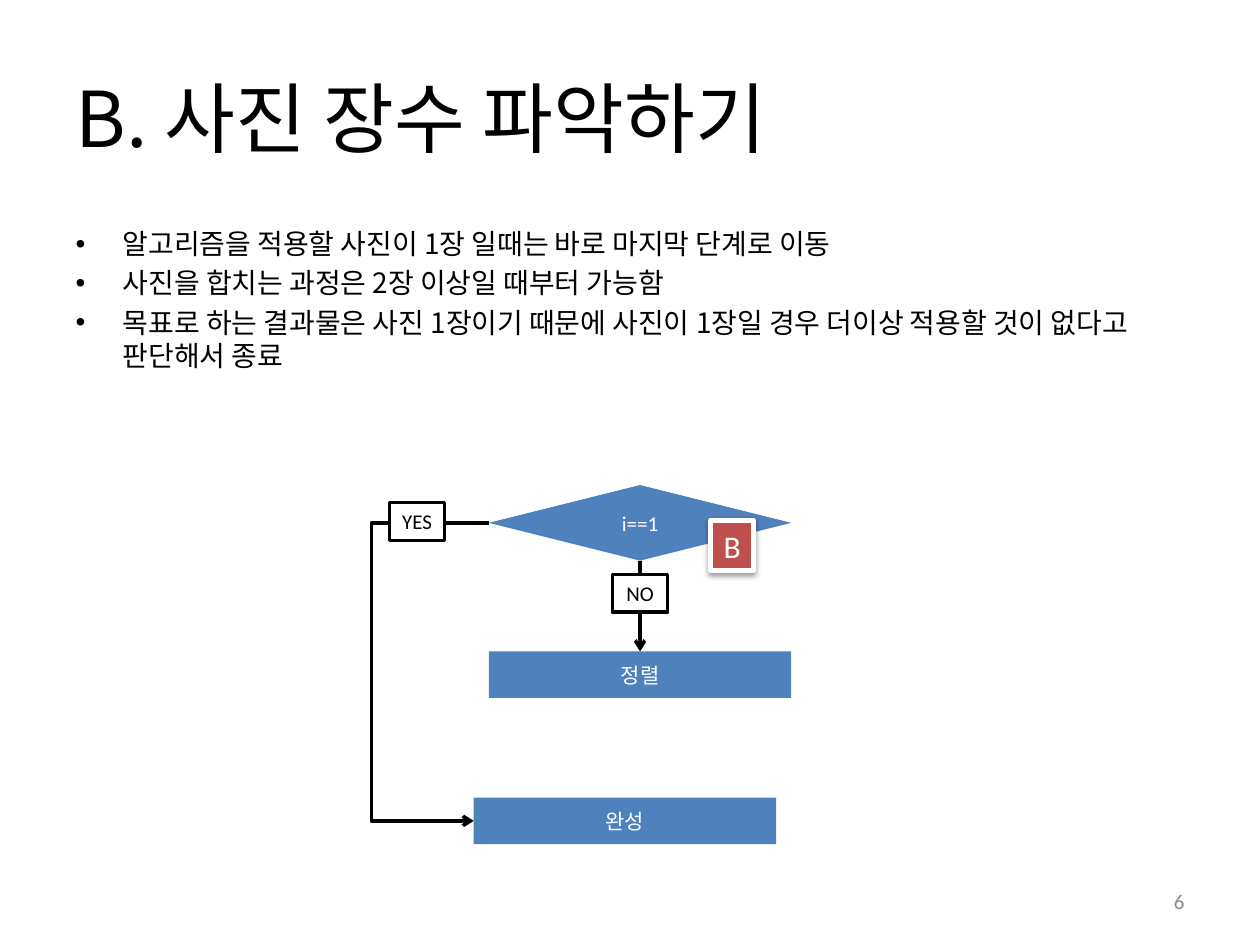
import pptx
import pptx.util
import pptx.dml.color
import pptx.enum.shapes
import pptx.enum.text
import pptx.oxml
import pptx.oxml.ns
import lxml.etree

Inches = pptx.util.Inches
Shape = pptx.enum.shapes.MSO_SHAPE
Connector = pptx.enum.shapes.MSO_CONNECTOR
Align = pptx.enum.text.PP_ALIGN
Anchor = pptx.enum.text.MSO_ANCHOR
qn = pptx.oxml.ns.qn

KOREAN = "Noto Sans CJK KR"
LATIN = "Calibri"
BLUE, RED, BLACK, WHITE, GREY = "4F81BD", "C0504D", "000000", "FFFFFF", "8C8C8C"


def color(value):
    return pptx.dml.color.RGBColor.from_string(value)


def add_text(para, text, size, ink, font=LATIN, align=None):
    para.alignment = align
    span = para.add_run()
    span.text = text
    span.font.size = pptx.util.Pt(size)
    span.font.name = font
    span.font.color.rgb = color(ink)
    east_asian = lxml.etree.SubElement(span.font._element, qn("a:ea"))
    east_asian.set("typeface", KOREAN)


def place(shape, left, top, width, height):
    shape.left, shape.top = Inches(left), Inches(top)
    shape.width, shape.height = Inches(width), Inches(height)


def add_box(page, kind, at, text, fill, ink=WHITE, outline=None, weight=2, size=12):
    box = page.shapes.add_shape(kind, *map(Inches, at))
    box.fill.solid()
    box.fill.fore_color.rgb = color(fill)
    if outline:
        box.line.color.rgb = color(outline)
        box.line.width = pptx.util.Pt(weight)
    else:
        box.line.fill.background()
    box.shadow.inherit = False
    frame = box.text_frame
    frame.word_wrap = outline is None
    frame.vertical_anchor = Anchor.MIDDLE
    add_text(frame.paragraphs[0], text, size, ink, align=Align.CENTER)
    return box


def add_arrow(page, kind, start, end):
    arrow = page.shapes.add_connector(kind, *map(Inches, start + end))
    arrow.line.color.rgb = color(BLACK)
    arrow.line.width = pptx.util.Pt(2)
    lxml.etree.SubElement(arrow.line._get_or_add_ln(), qn("a:tailEnd")).set("type", "arrow")
    lxml.etree.SubElement(arrow._element.spPr, qn("a:effectLst"))
    return arrow


def bend_at(arrow, ratio):
    guides = arrow._element.spPr.find(qn("a:prstGeom")).get_or_add_avLst()
    guide = lxml.etree.SubElement(guides, qn("a:gd"))
    guide.set("name", "adj1")
    guide.set("fmla", f"val {round(ratio * 100000)}")


def add_soft_shadow(box):
    effects = box._element.spPr.find(qn("a:effectLst"))
    effects.append(pptx.oxml.parse_xml(
        f'<a:outerShdw {pptx.oxml.ns.nsdecls("a")} blurRad="40000" dist="20000"'
        ' dir="5400000" rotWithShape="0"><a:srgbClr val="000000">'
        '<a:alpha val="38000"/></a:srgbClr></a:outerShdw>'))


def fill_title(page, text, left, top, width, height):
    title = page.shapes.title
    place(title, left, top, width, height)
    title.text_frame.vertical_anchor = Anchor.MIDDLE
    add_text(title.text_frame.paragraphs[0], text, 44, BLACK, KOREAN, Align.LEFT)


def fill_bullets(page, lines, left, top, width, height):
    body = page.placeholders[1]
    place(body, left, top, width, height)
    frame = body.text_frame
    for index, line in enumerate(lines):
        para = frame.add_paragraph() if index else frame.paragraphs[0]
        add_text(para, line, 16, BLACK, KOREAN, Align.LEFT)


def add_page_number(page, number, left, top, width, height):
    box = page.shapes.add_textbox(*map(Inches, (left, top, width, height)))
    box.text_frame.word_wrap = True
    box.text_frame.vertical_anchor = Anchor.MIDDLE
    add_text(box.text_frame.paragraphs[0], number, 12, GREY, align=Align.RIGHT)


def add_flowchart(page, left, top):
    step_width, step_height, test_height = 2.4, 0.37, 0.6
    test_left = left + 0.93
    sort_top, done_top = top + 1.32, top + 2.48
    done_left = test_left - 0.12
    middle = test_left + step_width / 2
    test_middle = top + test_height / 2

    add_box(page, Shape.DIAMOND, (test_left, top, step_width, test_height), "i==1", BLUE)
    add_box(page, Shape.RECTANGLE, (test_left, sort_top, step_width, step_height), "정렬", BLUE)
    add_box(page, Shape.RECTANGLE, (done_left, done_top, step_width, step_height), "완성", BLUE)

    add_arrow(page, Connector.STRAIGHT, (middle, top + test_height), (middle, sort_top))
    branch = add_arrow(page, Connector.ELBOW, (test_left, test_middle),
                       (done_left, done_top + step_height / 2))
    bend_at(branch, (test_left - left) / (test_left - done_left))

    for text, x, y in (("YES", left + 0.14, top + 0.14), ("NO", middle - 0.22, top + 0.71)):
        add_box(page, Shape.RECTANGLE, (x, y, 0.44, 0.3), text, WHITE, BLACK, BLACK)
    badge = add_box(page, Shape.RECTANGLE, (left + 2.69, top + 0.28, 0.34, 0.4), "B", RED,
                    outline=WHITE, weight=3, size=18)
    add_soft_shadow(badge)


deck = pptx.Presentation()
deck.slide_width, deck.slide_height = Inches(10), Inches(7.5)
page = deck.slides.add_slide(deck.slide_layouts[1])
fill_title(page, "B. 사진 장수 파악하기", 0.5, 0.3, 9, 1.25)
fill_bullets(page, (
    "알고리즘을 적용할 사진이 1장 일때는 바로 마지막 단계로 이동",
    "사진을 합치는 과정은 2장 이상일 때부터 가능함",
    "목표로 하는 결과물은 사진 1장이기 때문에 사진이 1장일 경우 "
    "더이상 적용할 것이 없다고 판단해서 종료",
), 0.5, 1.75, 9, 1.93)
add_page_number(page, "6", 7.17, 6.95, 2.33, 0.4)
add_flowchart(page, 2.95, 3.85)
deck.save("out.pptx")
